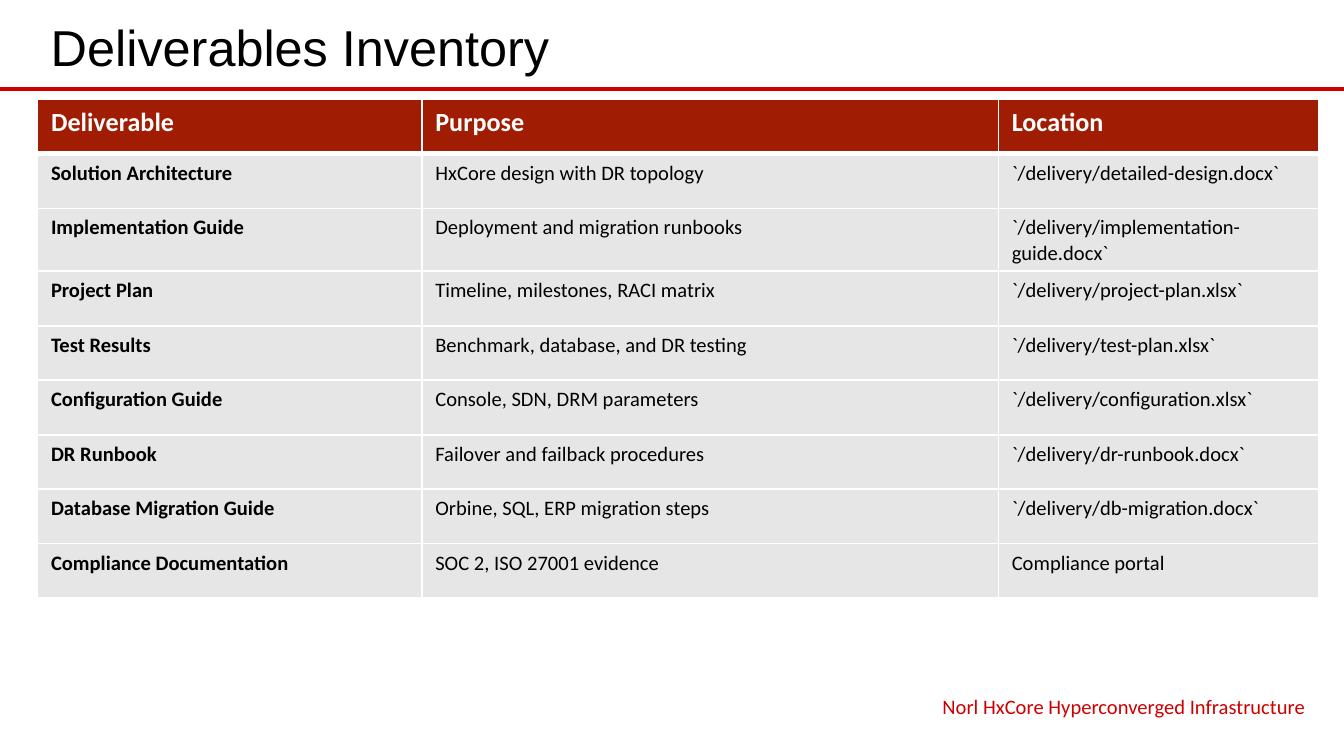
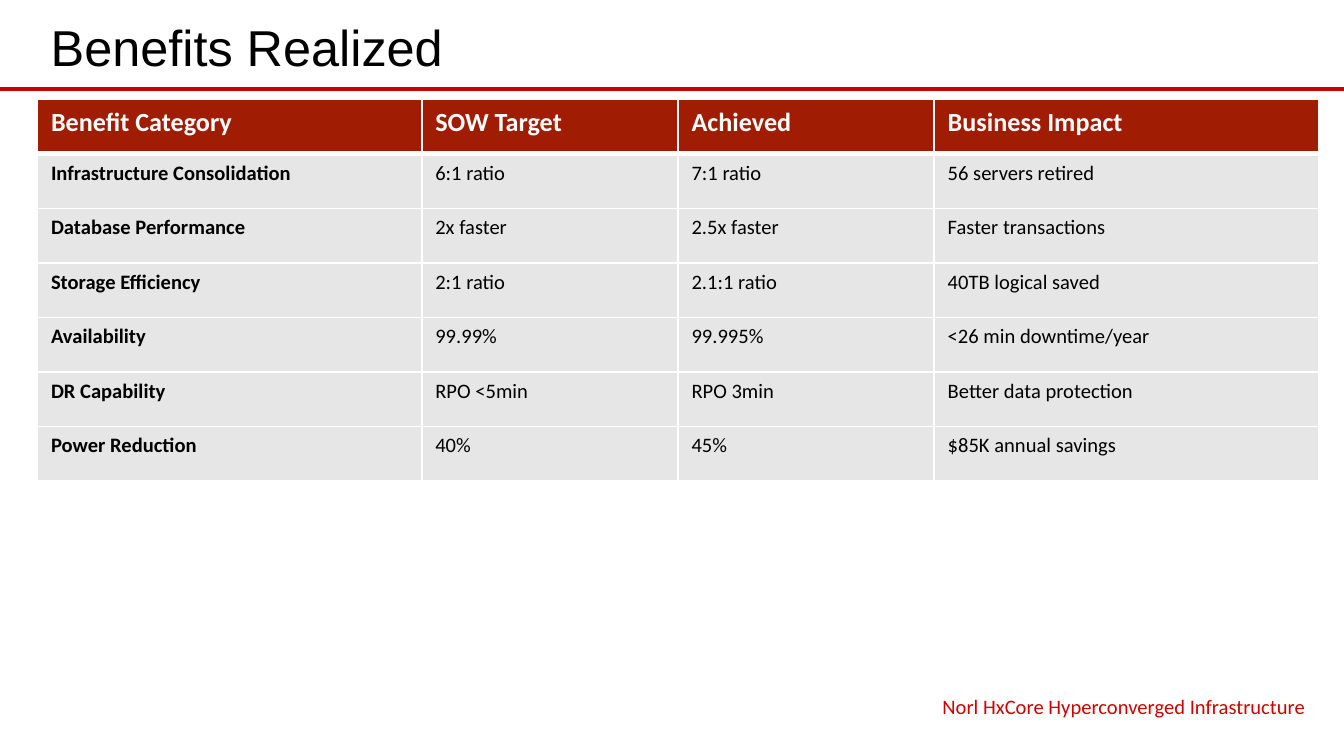
from dataclasses import dataclass

from lxml.etree import SubElement
from pptx import Presentation
from pptx.dml.color import RGBColor
from pptx.enum.shapes import MSO_CONNECTOR
from pptx.enum.text import MSO_ANCHOR, PP_ALIGN
from pptx.oxml.ns import qn
from pptx.presentation import Presentation as Deck
from pptx.slide import Slide
from pptx.table import _Cell as Cell
from pptx.util import Cm, Length, Pt

RED = RGBColor(0xCC, 0x00, 0x00)
HEADER_RED = RGBColor(0xA0, 0x1C, 0x02)
ROW_GREY = RGBColor(0xE7, 0xE6, 0xE6)
WHITE = RGBColor(0xFF, 0xFF, 0xFF)
BLACK = RGBColor(0x00, 0x00, 0x00)

SLIDE_WIDTH = Cm(25.4)
SLIDE_HEIGHT = Cm(14.29)
CONTENT_LEFT = Cm(0.71)
CONTENT_WIDTH = Cm(24.21)
RULE_TOP = Cm(1.68)
TABLE_TOP = Cm(1.88)
ROW_HEIGHT = Cm(1.03)
FOOTER = "Norl HxCore Hyperconverged Infrastructure"


@dataclass(frozen=True)
class TextStyle:
    font: str
    size: int
    color: RGBColor
    bold: bool = False
    align: PP_ALIGN = PP_ALIGN.LEFT
    anchor: MSO_ANCHOR = MSO_ANCHOR.TOP


@dataclass(frozen=True)
class Box:
    left: Length
    top: Length
    width: Length
    height: Length


@dataclass(frozen=True)
class TableSlide:
    title: str
    column_percents: tuple[int, ...]
    rows: tuple[tuple[str, ...], ...]


TITLE_STYLE = TextStyle("Arial", 27, BLACK, anchor=MSO_ANCHOR.BOTTOM)
FOOTER_STYLE = TextStyle("Calibri", 11, RED, align=PP_ALIGN.RIGHT)
HEADER_STYLE = TextStyle("Calibri", 14, WHITE, bold=True)
LABEL_STYLE = TextStyle("Calibri", 11, BLACK, bold=True)
BODY_STYLE = TextStyle("Calibri", 11, BLACK)

TITLE_BOX = Box(CONTENT_LEFT, Cm(0.1), CONTENT_WIDTH, Cm(1.47))
FOOTER_BOX = Box(Cm(15.98), Cm(13), Cm(8.94), Cm(0.66))

TABLE_SLIDES = (
    TableSlide(
        "Deliverables Inventory",
        (30, 45, 25),
        (
            ("Deliverable", "Purpose", "Location"),
            ("Solution Architecture", "HxCore design with DR topology", "`/delivery/detailed-design.docx`"),
            ("Implementation Guide", "Deployment and migration runbooks", "`/delivery/implementation-guide.docx`"),
            ("Project Plan", "Timeline, milestones, RACI matrix", "`/delivery/project-plan.xlsx`"),
            ("Test Results", "Benchmark, database, and DR testing", "`/delivery/test-plan.xlsx`"),
            ("Configuration Guide", "Console, SDN, DRM parameters", "`/delivery/configuration.xlsx`"),
            ("DR Runbook", "Failover and failback procedures", "`/delivery/dr-runbook.docx`"),
            ("Database Migration Guide", "Orbine, SQL, ERP migration steps", "`/delivery/db-migration.docx`"),
            ("Compliance Documentation", "SOC 2, ISO 27001 evidence", "Compliance portal"),
        ),
    ),
    TableSlide(
        "Benefits Realized",
        (30, 20, 20, 30),
        (
            ("Benefit Category", "SOW Target", "Achieved", "Business Impact"),
            ("Infrastructure Consolidation", "6:1 ratio", "7:1 ratio", "56 servers retired"),
            ("Database Performance", "2x faster", "2.5x faster", "Faster transactions"),
            ("Storage Efficiency", "2:1 ratio", "2.1:1 ratio", "40TB logical saved"),
            ("Availability", "99.99%", "99.995%", "<26 min downtime/year"),
            ("DR Capability", "RPO <5min", "RPO 3min", "Better data protection"),
            ("Power Reduction", "40%", "45%", "$85K annual savings"),
        ),
    ),
)


def write_text(holder: Cell, text: str, style: TextStyle) -> None:
    holder.text_frame.text = text
    paragraph = holder.text_frame.paragraphs[0]
    paragraph.alignment = style.align
    for run in paragraph.runs:
        run.font.name = style.font
        run.font.size = Pt(style.size)
        run.font.bold = style.bold
        run.font.color.rgb = style.color


def add_text(slide: Slide, box: Box, text: str, style: TextStyle) -> None:
    shape = slide.shapes.add_textbox(box.left, box.top, box.width, box.height)
    shape.text_frame.word_wrap = True
    shape.text_frame.vertical_anchor = style.anchor
    write_text(shape, text, style)


def add_rule(slide: Slide) -> None:
    rule = slide.shapes.add_connector(MSO_CONNECTOR.STRAIGHT, 0, RULE_TOP, SLIDE_WIDTH, RULE_TOP)
    rule.line.color.rgb = RED
    rule.line.width = Pt(2.25)
    SubElement(rule._element.spPr, qn("a:effectLst"))


def set_borders(cell: Cell, row_index: int) -> None:
    widths = {"L": 1, "R": 1, "T": 3 if row_index == 1 else 1, "B": 3 if row_index == 0 else 1}
    properties = cell._tc.get_or_add_tcPr()
    for side, width in widths.items():
        border = SubElement(properties, qn(f"a:ln{side}"), w=str(Pt(width)))
        fill = SubElement(border, qn("a:solidFill"))
        SubElement(fill, qn("a:srgbClr"), val=str(WHITE))


def cell_style(row_index: int, column_index: int) -> TextStyle:
    if row_index == 0:
        return HEADER_STYLE
    return LABEL_STYLE if column_index == 0 else BODY_STYLE


def add_data_table(slide: Slide, content: TableSlide) -> None:
    row_count = len(content.rows)
    table = slide.shapes.add_table(
        row_count, len(content.column_percents),
        CONTENT_LEFT, TABLE_TOP, CONTENT_WIDTH, ROW_HEIGHT * row_count,
    ).table
    table.horz_banding = False
    for column, percent in zip(table.columns, content.column_percents):
        column.width = CONTENT_WIDTH * percent // 100
    for row_index, values in enumerate(content.rows):
        table.rows[row_index].height = ROW_HEIGHT
        for column_index, value in enumerate(values):
            cell = table.cell(row_index, column_index)
            set_borders(cell, row_index)
            cell.fill.solid()
            cell.fill.fore_color.rgb = HEADER_RED if row_index == 0 else ROW_GREY
            write_text(cell, value, cell_style(row_index, column_index))


def add_table_slide(presentation: Deck, content: TableSlide) -> None:
    slide = presentation.slides.add_slide(presentation.slide_layouts[6])
    add_rule(slide)
    add_text(slide, TITLE_BOX, content.title, TITLE_STYLE)
    add_data_table(slide, content)
    add_text(slide, FOOTER_BOX, FOOTER, FOOTER_STYLE)


def main() -> None:
    presentation = Presentation()
    presentation.slide_width = SLIDE_WIDTH
    presentation.slide_height = SLIDE_HEIGHT
    for content in TABLE_SLIDES:
        add_table_slide(presentation, content)
    presentation.save("out.pptx")


if __name__ == "__main__":
    main()
